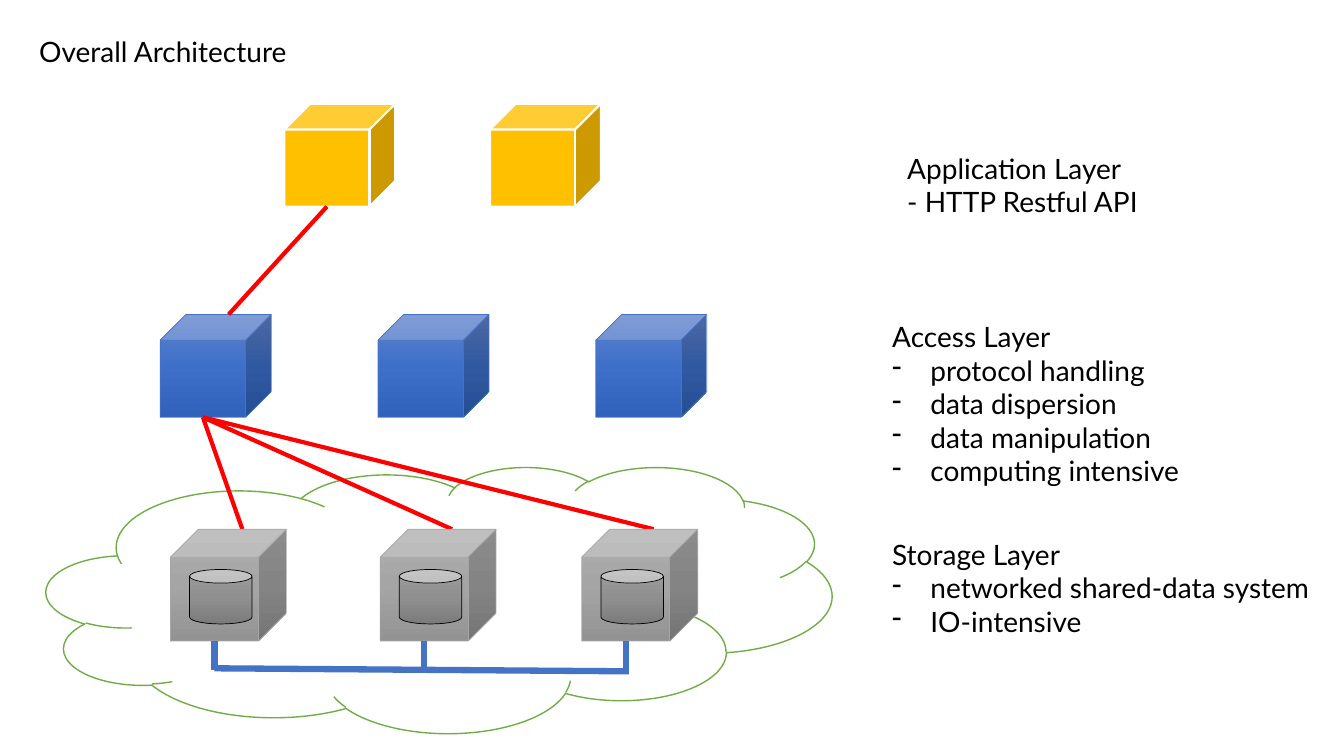
from copy import deepcopy
from dataclasses import dataclass

from lxml import etree
from pptx import Presentation
from pptx.dml.color import RGBColor
from pptx.enum.shapes import MSO_CONNECTOR, MSO_SHAPE
from pptx.enum.text import MSO_AUTO_SIZE
from pptx.oxml.ns import qn
from pptx.util import Inches, Pt

CLOUD, CUBE, CAN = MSO_SHAPE.CLOUD, MSO_SHAPE.CUBE, MSO_SHAPE.CAN
STRAIGHT = MSO_CONNECTOR.STRAIGHT
FIT_TEXT = MSO_AUTO_SIZE.SHAPE_TO_FIT_TEXT


@dataclass(frozen=True)
class Theme:
    font: str = "Lato"
    text_size: float = 20
    text: str = "000000"
    white: str = "FFFFFF"
    cloud_edge: str = "70AD47"
    application: str = "FFC000"
    access: tuple = ("6183CB", "3E70CA", "3062BB")
    storage: tuple = ("AFAFAF", "A5A5A5", "939393")
    disk: tuple = ("9D9D9D", "909090", "7C7C7C")
    access_edge: str = "4472C4"
    storage_edge: str = "A5A5A5"
    request: str = "FF0000"
    request_width: float = 3
    bus_width: float = 4.5


@dataclass(frozen=True)
class Box:
    left: float
    top: float
    width: float
    height: float

    def inches(self):
        return [Inches(v) for v in (self.left, self.top, self.width, self.height)]

    def cube_top(self):
        depth = min(self.width, self.height) / 4
        return self.left + (self.width + depth) / 2, self.top

    def cube_bottom(self):
        depth = min(self.width, self.height) / 4
        return self.left + (self.width - depth) / 2, self.top + self.height


THEME = Theme()


def rgb(code):
    return RGBColor.from_string(code)


def paint_gradient(shape, colors):
    shape.fill.gradient()
    shape.fill.gradient_angle = 270
    stops = shape._element.spPr.find(".//" + qn("a:gsLst"))
    stops.append(deepcopy(stops[0]))
    for index, (stop, color) in enumerate(zip(shape.fill.gradient_stops, colors)):
        stop.position = index / 2
        stop.color.rgb = rgb(color)


def draw_solid(slide, kind, box, fill, edge, edge_width):
    solid = slide.shapes.add_shape(kind, *box.inches())
    solid.shadow.inherit = False
    if isinstance(fill, tuple):
        paint_gradient(solid, fill)
    else:
        solid.fill.solid()
        solid.fill.fore_color.rgb = rgb(fill)
    solid.line.color.rgb = rgb(edge)
    solid.line.width = Pt(edge_width)


def draw_link(slide, start, end, color, width):
    link = slide.shapes.add_connector(STRAIGHT, *[Inches(v) for v in (*start, *end)])
    link.line.color.rgb = rgb(color)
    link.line.width = Pt(width)
    etree.SubElement(link._element.spPr, qn("a:effectLst"))


def draw_cubes(slide, boxes, fill, edge, edge_width):
    for box in boxes:
        draw_solid(slide, CUBE, box, fill, edge, edge_width)


def draw_requests(slide, start, ends):
    for end in ends:
        draw_link(slide, start, end, THEME.request, THEME.request_width)


def draw_storage(slide, boxes):
    for box in boxes:
        draw_solid(slide, CUBE, box, THEME.storage, THEME.storage_edge, 0.5)
        disk = Box(box.left + 0.19, box.top + 0.4, 0.62, 0.54)
        draw_solid(slide, CAN, disk, THEME.disk, THEME.text, 0.5)


def draw_bus(slide, boxes):
    feet = [box.cube_bottom() for box in boxes]
    level = feet[0][1] + 0.29
    wires = [((feet[0][0], level - 0.02), (feet[-1][0] + 0.03, level + 0.01))]
    wires += [((x, y), (x, level)) for x, y in feet]
    for start, end in wires:
        draw_link(slide, start, end, THEME.access_edge, THEME.bus_width)


def dash_bullet(paragraph):
    properties = paragraph._p.get_or_add_pPr()
    properties.set("marL", str(Inches(0.38)))
    properties.set("indent", str(-Inches(0.38)))
    etree.SubElement(properties, qn("a:buFontTx"))
    etree.SubElement(properties, qn("a:buChar"), char="-")


def write_text(slide, box, lines, bullets=()):
    frame = slide.shapes.add_textbox(*box.inches()).text_frame
    frame.word_wrap = False
    frame.auto_size = FIT_TEXT
    for index, line in enumerate([*lines, *bullets]):
        paragraph = frame.add_paragraph() if index else frame.paragraphs[0]
        if index >= len(lines):
            dash_bullet(paragraph)
        run = paragraph.add_run()
        run.text = line
        run.font.name = THEME.font
        run.font.size = Pt(THEME.text_size)
        run.font.color.rgb = rgb(THEME.text)


def draw_architecture(slide, area):
    def place(left, top, width, height):
        return Box(area.left + left, area.top + top, width, height)

    applications = [place(2.36 + 2.04 * i, 0, 1.1, 1.02) for i in range(2)]
    accesses = [place(1.13 + 2.16 * i, 2.09, 1.1, 1.02) for i in range(3)]
    storages = [place(left, 4.22, 1.15, 1.11) for left in (1.23, 3.31, 5.31)]

    draw_solid(slide, CLOUD, place(0, 3.6, area.width, 2.64),
               THEME.white, THEME.cloud_edge, 1)
    draw_cubes(slide, applications, THEME.application, THEME.white, 1.5)
    draw_cubes(slide, accesses, THEME.access, THEME.access_edge, 0.5)
    draw_requests(slide, applications[0].cube_bottom(), [accesses[0].cube_top()])
    draw_requests(slide, accesses[0].cube_bottom(),
                  [storage.cube_top() for storage in storages])
    draw_storage(slide, storages)
    draw_bus(slide, storages)


def draw_legend(slide, area):
    write_text(slide, Box(area.left + 0.15, area.top, 2.57, 0.77),
               ["Application Layer", "- HTTP Restful API"])
    write_text(slide, Box(area.left, area.top + 1.67, 3.22, 1.78), ["Access Layer"],
               ["protocol handling", "data dispersion",
                "data manipulation", "computing intensive"])
    write_text(slide, Box(area.left, area.top + 3.83, area.width, 1.11),
               ["Storage Layer"], ["networked shared-data system", "IO-intensive"])


def main():
    deck = Presentation()
    deck.slide_width, deck.slide_height = Inches(13.33), Inches(7.5)
    slide = deck.slides.add_slide(deck.slide_layouts[6])
    draw_architecture(slide, Box(0.46, 1.03, 7.79, 6.24))
    draw_legend(slide, Box(8.75, 1.45, 4.67, 4.94))
    write_text(slide, Box(0.29, 0.29, 2.83, 0.44), ["Overall Architecture"])
    deck.save("out.pptx")


if __name__ == "__main__":
    main()
